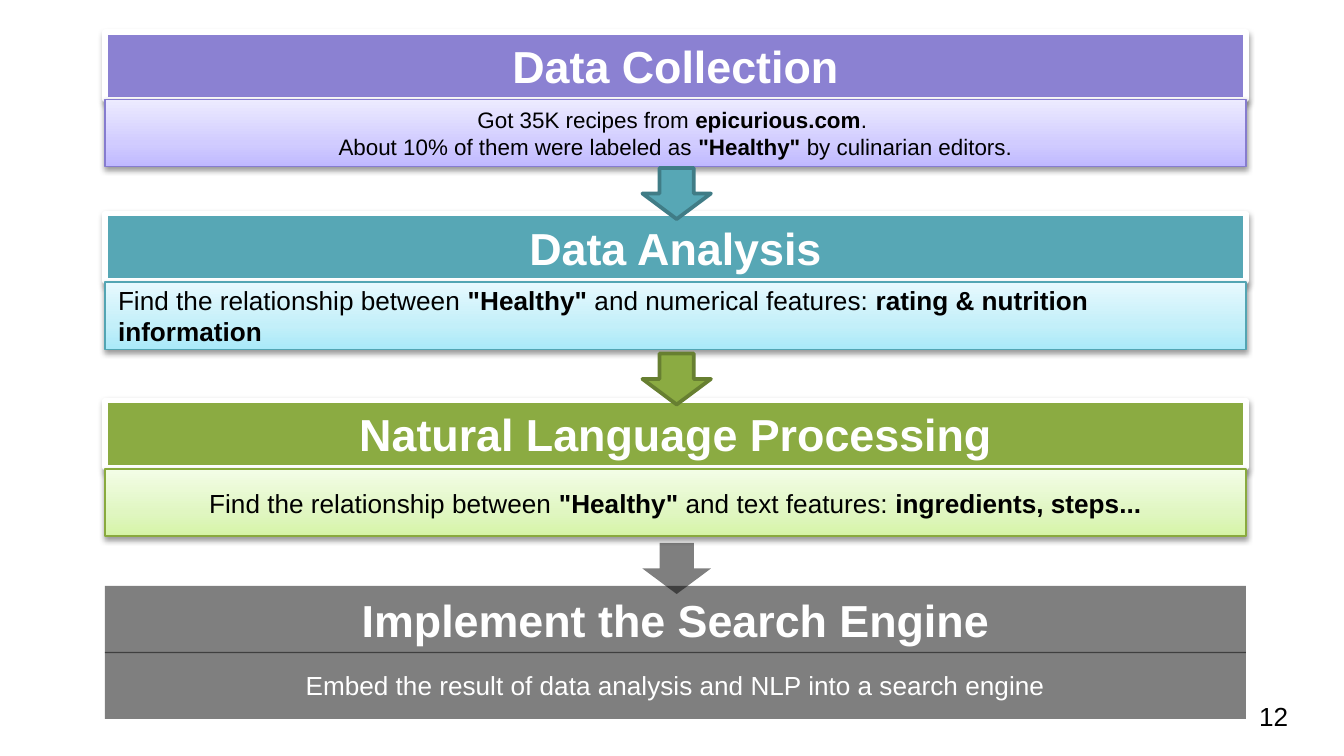
from copy import deepcopy
from dataclasses import dataclass

from lxml.etree import SubElement
from pptx import Presentation
from pptx.dml.color import RGBColor
from pptx.enum.shapes import MSO_SHAPE
from pptx.enum.text import MSO_ANCHOR, PP_ALIGN
from pptx.oxml.ns import qn
from pptx.util import Inches, Pt


@dataclass(frozen=True)
class Theme:
    """Colours and type sizes of the slide."""
    font: str = "Arial"
    black: str = "000000"
    white: str = "FFFFFF"
    purple: str = "8B81D2"
    teal: str = "57A7B5"
    green: str = "8BAB42"
    violet: str = "867CCF"
    aqua: str = "53A5B3"
    leaf: str = "89AA3E"
    pine: str = "407C86"
    moss: str = "677F31"
    lilac: tuple = ("BFB8FF", "D1CCFF", "EDEBFF")
    sky: tuple = ("A9E9F9", "C3EFF9", "E7F9FE")
    lime: tuple = ("D5F4A6", "E0F6C1", "F3FDE7")
    head: int = 24
    body: int = 14
    small: int = 12


T = Theme()


@dataclass(frozen=True)
class Stage:
    """One step of the flow; asterisks in its lines enclose bold words."""
    top: float
    base: float
    title: str
    lines: tuple
    fill: str = ""
    grad: tuple = ()
    edge: str = ""
    size: int = T.body
    align: PP_ALIGN = PP_ALIGN.CENTER


@dataclass(frozen=True)
class Arrow:
    """A block arrow leading to the next stage."""
    top: float
    fill: str = ""
    edge: str = ""


LEFT, WIDE, HIGH = 0.78, 8.49, 0.5
STAGES = (
    Stage(0.24, 0.74, "Data Collection",
          ("Got 35K recipes from *epicurious.com*. ",
           'About 10% of them were labeled as *"Healthy" *by culinarian editors.'),
          T.purple, T.lilac, T.violet, T.small),
    Stage(1.59, 2.1, "Data Analysis",
          ('Find the relationship between *"Healthy" *and numerical features: '
           "*rating & nutrition information*",),
          T.teal, T.sky, T.aqua, align=PP_ALIGN.LEFT),
    Stage(2.98, 3.49, "Natural Language Processing",
          ('Find the relationship between *"Healthy" *and text features: '
           "*ingredients, steps...*",),
          T.green, T.lime, T.leaf),
    Stage(4.36, 4.85, "Implement the Search Engine",
          ("Embed the result of data analysis and NLP into a search engine",)),
)
ARROWS = (Arrow(1.25, T.teal, T.pine), Arrow(4.04), Arrow(2.63, T.green, T.moss))


def rgb(code: str) -> RGBColor:
    """Turn a hex code into a colour."""
    return RGBColor.from_string(code)


def block(slide, kind: MSO_SHAPE, box: tuple, fill: str, edge: str, width: float):
    """Draw a shape, half-clear black when no fill is given."""
    shape = slide.shapes.add_shape(kind, *map(Inches, box))
    shape.shadow.inherit = False
    shape.fill.solid()
    shape.fill.fore_color.rgb = rgb(fill or T.black)
    if not fill:
        tint = shape._element.spPr.find(f"{qn('a:solidFill')}/{qn('a:srgbClr')}")
        SubElement(tint, qn("a:alpha"), val="50000")
    if edge:
        shape.line.color.rgb = rgb(edge)
        shape.line.width = Pt(width)
    else:
        shape.line.fill.background()
    return shape


def shade(shape) -> None:
    """Cast a soft shadow below a shape."""
    effects = shape._element.spPr.find(qn("a:effectLst"))
    cast = SubElement(effects, qn("a:outerShdw"), blurRad=str(Pt(3.1)),
                      dist=str(Pt(1.6)), dir="5400000", rotWithShape="0")
    tint = SubElement(cast, qn("a:srgbClr"), val=T.black)
    SubElement(tint, qn("a:alpha"), val="38000")


def blend(shape, codes: tuple) -> None:
    """Fill a shape with three colours rising from its base."""
    shape.fill.gradient()
    shape.fill.gradient_angle = 90
    stops = shape._element.spPr.find(f"{qn('a:gradFill')}/{qn('a:gsLst')}")
    stops.insert(1, deepcopy(stops[0]))
    for stop, code, place in zip(shape.fill.gradient_stops, codes, (0, 0.35, 1)):
        stop.color.rgb = rgb(code)
        stop.position = place


def write(shape, lines: tuple, size: int, color: str, align: PP_ALIGN) -> None:
    """Write lines whose starred parts are bold."""
    frame = shape.text_frame
    frame.word_wrap = True
    frame.vertical_anchor = MSO_ANCHOR.MIDDLE
    for i, line in enumerate(lines):
        para = frame.add_paragraph() if i else frame.paragraphs[0]
        para.alignment = align
        for j, part in enumerate(line.split("*")):
            if part:
                run = para.add_run()
                run.text = part
                run.font.name = T.font
                run.font.size = Pt(size)
                run.font.bold = j % 2 == 1
                run.font.color.rgb = rgb(color)


def head(slide, stage: Stage) -> None:
    """Draw the title bar of a stage."""
    box = (LEFT, stage.top, WIDE, HIGH)
    bar = block(slide, MSO_SHAPE.RECTANGLE, box, stage.fill, stage.fill and T.white, 3)
    if stage.fill:
        shade(bar)
    write(bar, (f"*{stage.title}*",), T.head, T.white, PP_ALIGN.CENTER)


def body(slide, stage: Stage) -> None:
    """Draw the text panel under a title bar."""
    box = (LEFT, stage.base, WIDE, HIGH)
    panel = block(slide, MSO_SHAPE.RECTANGLE, box, stage.fill, stage.edge, 0.75)
    if stage.grad:
        blend(panel, stage.grad)
        shade(panel)
    color = T.black if stage.grad else T.white
    write(panel, stage.lines, stage.size, color, stage.align)


def main() -> None:
    """Build and save the slide."""
    deck = Presentation()
    deck.slide_width = Inches(10)
    deck.slide_height = deck.slide_width * 9 // 16
    slide = deck.slides.add_slide(deck.slide_layouts[6])
    number = slide.shapes.add_textbox(*map(Inches, (9.27, 5.11, 0.6, 0.43)))
    write(number, ("12",), T.body, T.black, PP_ALIGN.LEFT)
    for stage in STAGES:
        head(slide, stage)
    for stage in STAGES:
        body(slide, stage)
    for arrow in ARROWS:
        box = (4.78, arrow.top, 0.51, 0.38)
        block(slide, MSO_SHAPE.DOWN_ARROW, box, arrow.fill, arrow.edge, 2)
    deck.save("out.pptx")


if __name__ == "__main__":
    main()
